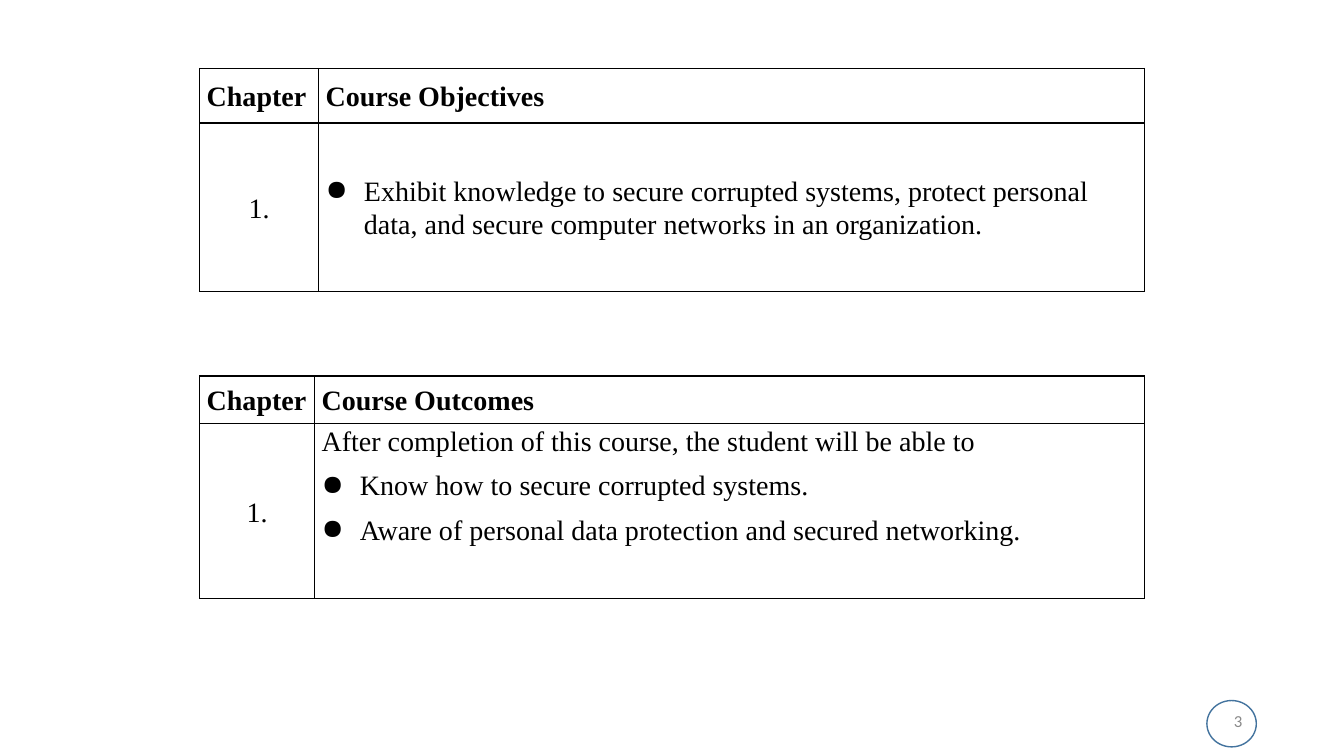
from dataclasses import dataclass

import pptx
import pptx.dml.color
import pptx.enum.shapes
import pptx.enum.text
import pptx.oxml
import pptx.oxml.ns
import pptx.util

Inches = pptx.util.Inches
Pt = pptx.util.Pt
Align = pptx.enum.text.PP_ALIGN
Anchor = pptx.enum.text.MSO_ANCHOR

BLACK, BLUE, GRAY = "000000", "43739E", "898989"
TABLE_LEFT, TABLE_WIDTH = 1.98, 9.37
HANGING_INDENT = 0.38


@dataclass
class Line:
    text: str
    bold: bool = False
    bullet: bool = False
    align: Align = Align.LEFT


@dataclass
class CourseTable:
    top: float
    chapter_width: float
    row_heights: tuple[float, float]
    heading: str
    body: list[Line]
    body_anchor: Anchor


COURSE_TABLES = [
    CourseTable(0.68, 1.18, (0.54, 1.67), "Course Objectives", [
        Line("Exhibit knowledge to secure corrupted systems, protect personal data, "
             "and secure computer networks in an organization.", bullet=True),
    ], Anchor.MIDDLE),
    CourseTable(3.73, 1.14, (0.47, 1.74), "Course Outcomes", [
        Line("After completion of this course, the student will be able to"),
        Line("Know how to secure corrupted systems.", bullet=True),
        Line("Aware of personal data protection and secured networking.", bullet=True),
    ], Anchor.TOP),
]


def color(value: str) -> pptx.dml.color.RGBColor:
    return pptx.dml.color.RGBColor.from_string(value)


def add_span(para, text: str, font: str, size: float, shade: str, bold: bool = False) -> None:
    span = para.add_run()
    span.text = text
    span.font.name = font
    span.font.size = Pt(size)
    span.font.bold = bold
    span.font.color.rgb = color(shade)


def add_bullet(para) -> None:
    properties = para._p.get_or_add_pPr()
    properties.set("marL", str(Inches(HANGING_INDENT)))
    properties.set("indent", str(-Inches(HANGING_INDENT)))
    mark = pptx.oxml.parse_xml(f'<a:buChar {pptx.oxml.ns.nsdecls("a")} char="●"/>')
    properties.append(mark)


def add_borders(cell) -> None:
    properties = cell._tc.get_or_add_tcPr()
    for side in ("lnL", "lnR", "lnT", "lnB"):
        properties.append(pptx.oxml.parse_xml(
            f'<a:{side} {pptx.oxml.ns.nsdecls("a")} w="{Pt(1)}">'
            f'<a:solidFill><a:srgbClr val="{BLACK}"/></a:solidFill></a:{side}>'))


def fill_cell(cell, lines: list[Line], anchor: Anchor = Anchor.MIDDLE) -> None:
    cell.margin_left = cell.margin_right = Inches(0.07)
    cell.margin_top, cell.margin_bottom = Inches(0.01), 0
    cell.vertical_anchor = anchor
    add_borders(cell)
    cell.fill.background()
    for index, line in enumerate(lines):
        frame = cell.text_frame
        para = frame.add_paragraph() if index else frame.paragraphs[0]
        para.alignment = line.align
        para.line_spacing = 1.07
        para.space_after = Pt(8)
        if line.bullet:
            add_bullet(para)
        add_span(para, line.text, "Times New Roman", 20, BLACK, line.bold)


def add_course_table(page, course: CourseTable) -> None:
    frame = page.shapes.add_table(
        2, 2, Inches(TABLE_LEFT), Inches(course.top),
        Inches(TABLE_WIDTH), Inches(sum(course.row_heights)))
    table = frame.table
    table.first_row = table.horz_banding = False
    table.columns[0].width = Inches(course.chapter_width)
    table.columns[1].width = Inches(TABLE_WIDTH - course.chapter_width)
    for row, height in zip(table.rows, course.row_heights):
        row.height = Inches(height)
    fill_cell(table.cell(0, 0), [Line("Chapter", bold=True)])
    fill_cell(table.cell(0, 1), [Line(course.heading, bold=True)])
    fill_cell(table.cell(1, 0), [Line("1.", align=Align.CENTER)])
    fill_cell(table.cell(1, 1), course.body, course.body_anchor)


def add_page_number(page, number: str) -> None:
    ring = page.shapes.add_shape(
        pptx.enum.shapes.MSO_SHAPE.OVAL,
        Inches(11.97), Inches(6.95), Inches(0.49), Inches(0.46))
    ring.shadow.inherit = False
    ring.fill.background()
    ring.line.color.rgb = color(BLUE)
    ring.line.width = Pt(1)

    box = page.shapes.add_textbox(Inches(9.42), Inches(6.95), Inches(3), Inches(0.4))
    box.text_frame.word_wrap = True
    box.text_frame.vertical_anchor = Anchor.MIDDLE
    para = box.text_frame.paragraphs[0]
    para.alignment = Align.RIGHT
    add_span(para, number, "Calibri", 12, GRAY)


def main() -> None:
    deck = pptx.Presentation()
    deck.slide_width, deck.slide_height = Inches(13.33), Inches(7.5)
    page = deck.slides.add_slide(deck.slide_layouts[6])

    # Page number in its ring
    add_page_number(page, "3")

    # Objectives and outcomes
    for course in COURSE_TABLES:
        add_course_table(page, course)

    deck.save("out.pptx")


if __name__ == "__main__":
    main()
